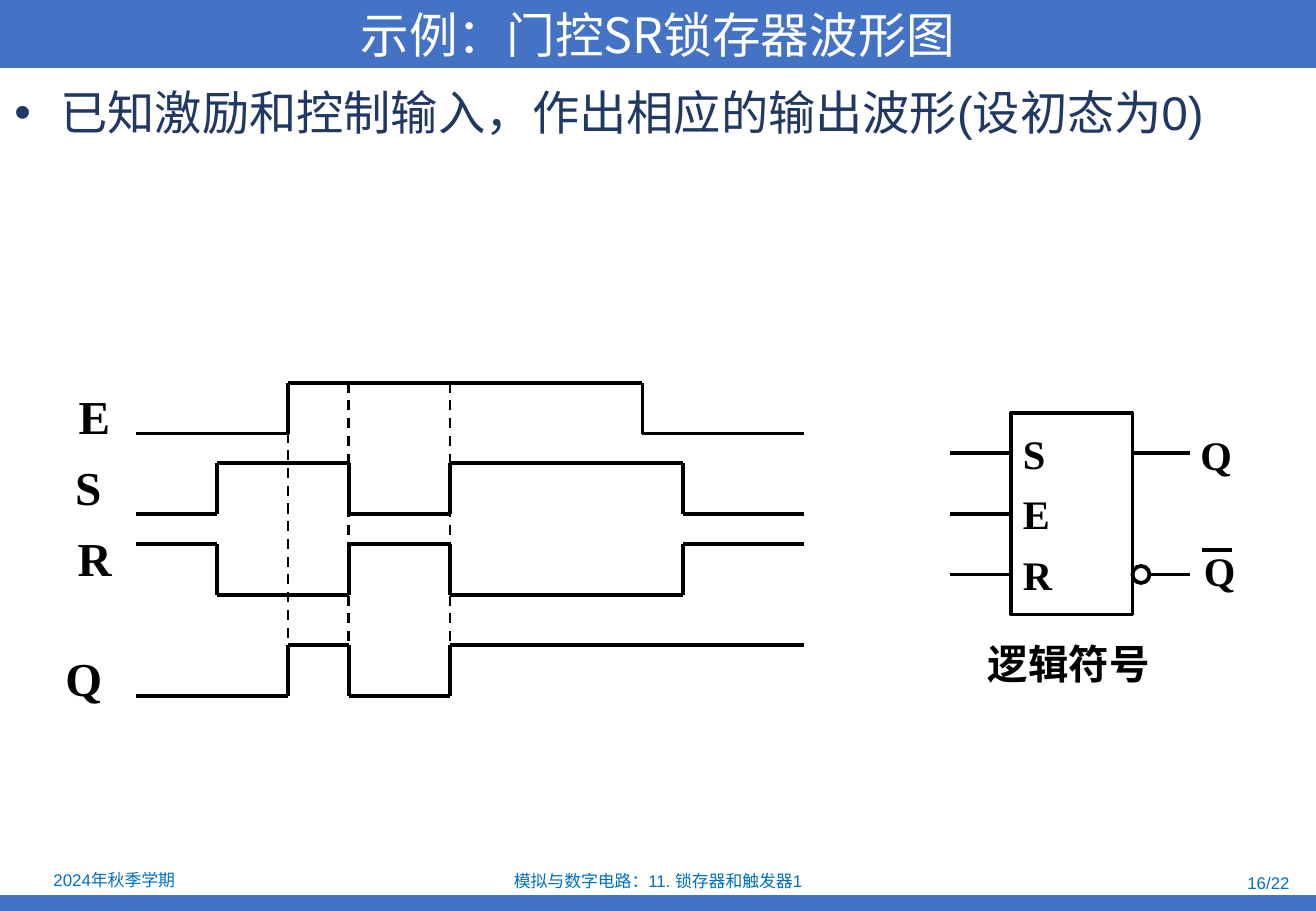
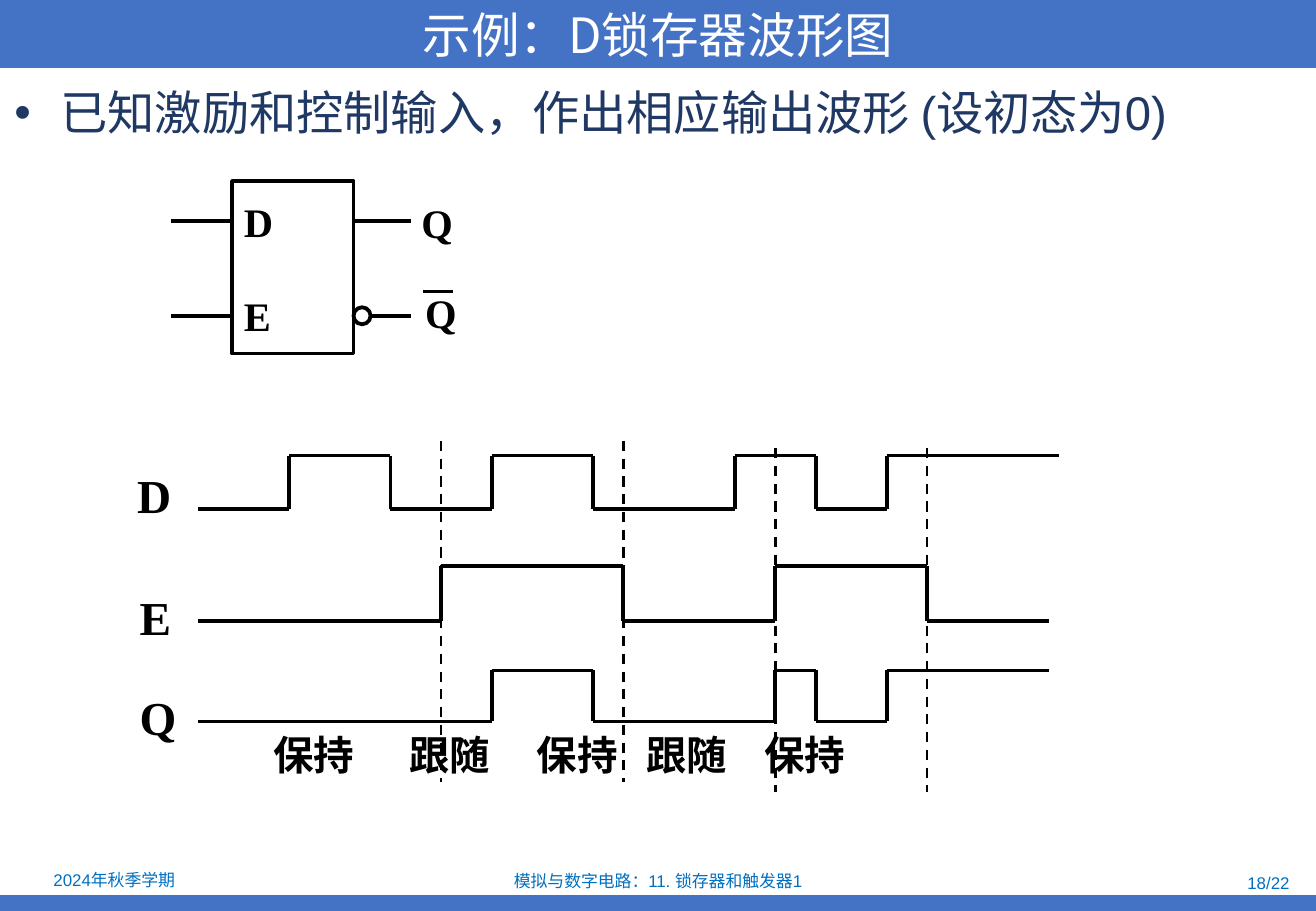
from lxml import etree
from pptx import Presentation
from pptx.dml.color import RGBColor
from pptx.enum.dml import MSO_LINE
from pptx.enum.shapes import MSO_CONNECTOR, MSO_SHAPE
from pptx.enum.text import MSO_ANCHOR, PP_ALIGN
from pptx.oxml.ns import qn
from pptx.util import Inches, Pt

RECTANGLE, OVAL = MSO_SHAPE.RECTANGLE, MSO_SHAPE.OVAL
STRAIGHT, DASH = MSO_CONNECTOR.STRAIGHT, MSO_LINE.DASH
MIDDLE, TOP = MSO_ANCHOR.MIDDLE, MSO_ANCHOR.TOP
LEFT, CENTER, RIGHT = PP_ALIGN.LEFT, PP_ALIGN.CENTER, PP_ALIGN.RIGHT

WIDTH, HEIGHT = 10.83, 7.5
TICK = 1 / 12
BAND, FOOTER, NAVY, BLACK, WHITE = "4472C4", "0070C0", "203864", "000000", "FFFFFF"
SANS, CHINESE, SERIF = "Arial", "Noto Sans CJK SC", "Times New Roman"
LEFT_SITE = 1
SYMBOL_WIDTH = 1
BUBBLE = 0.14


def color(value):
    return RGBColor.from_string(value)


def write(shape, text, size, font, fill, bold=False, align=LEFT, anchor=TOP):
    frame = shape.text_frame
    frame.word_wrap = True
    frame.vertical_anchor = anchor
    frame.text = text
    paragraph = frame.paragraphs[0]
    paragraph.alignment = align
    for run in paragraph.runs:
        run.font.size = Pt(size)
        run.font.bold = bold
        run.font.color.rgb = color(fill)
        run.font.name = font
        etree.SubElement(run.font._element, qn("a:ea"), typeface=CHINESE)
    return paragraph


def add_text(slide, left, top, width, height, text, size, font, fill, **style):
    box = slide.shapes.add_textbox(*map(Inches, (left, top, width, height)))
    return write(box, text, size, font, fill, **style)


def add_letter(slide, left, top, text, size):
    add_text(slide, left, top, 0.6, 0.5, text, size, SERIF, BLACK, bold=True)


def add_preset(slide, preset, left, top, width, height, fill=None, outline=None):
    shape = slide.shapes.add_shape(preset, *map(Inches, (left, top, width, height)))
    shape.shadow.inherit = False
    if fill:
        shape.fill.solid()
        shape.fill.fore_color.rgb = color(fill)
    else:
        shape.fill.background()
    if outline:
        shape.line.color.rgb = color(outline)
        shape.line.width = Pt(2.25)
    else:
        shape.line.fill.background()
    return shape


def add_line(slide, left, top, right, bottom, dashed=False):
    line = slide.shapes.add_connector(STRAIGHT, *map(Inches, (left, top, right, bottom)))
    line.line.color.rgb = color(BLACK)
    line.line.width = Pt(1.5 if dashed else 2.25)
    if dashed:
        line.line.dash_style = DASH
    etree.SubElement(line._element.spPr, qn("a:effectLst"))
    return line


def add_frame(presentation, title, statement, number):
    slide = presentation.slides.add_slide(presentation.slide_layouts[6])
    add_preset(slide, RECTANGLE, 0, 7.37, WIDTH, 0.13, fill=BAND)
    banner = add_preset(slide, RECTANGLE, 0, 0, WIDTH, 0.56, fill=BAND)
    write(banner, title, 28.8, CHINESE, WHITE, align=CENTER, anchor=MIDDLE)
    paragraph = add_text(slide, 0.02, 0.64, 10.81, 6.5, statement, 28, SANS, NAVY)
    properties = paragraph._p.get_or_add_pPr()
    properties.set("marL", str(Inches(0.38)))
    properties.set("indent", str(Inches(-0.38)))
    etree.SubElement(properties, qn("a:buFont"), typeface=SANS)
    etree.SubElement(properties, qn("a:buChar"), char="•")
    for left, top, width, text, align in (
        (0.02, 7.13, 1.84, "2024年秋季学期", CENTER),
        (3.7, 7.14, 3.43, "模拟与数字电路：11. 锁存器和触发器1", CENTER),
        (8.18, 7.16, 2.53, f"{number}/22", RIGHT),
    ):
        add_text(slide, left, top, width, 0.22, text, 10, SANS, FOOTER,
                 align=align, anchor=MIDDLE)
    return slide


def add_wave(slide, origin, high, low, edges, end, starts_high=False):
    level, other = (high, low) if starts_high else (low, high)
    start = origin
    for edge in edges:
        left = origin + edge * TICK
        add_line(slide, start, level, left, level)
        add_line(slide, left, level, left, other)
        start, level, other = left, other, level
    add_line(slide, start, level, origin + end * TICK, level)


def add_guides(slide, origin, guides):
    for tick, top, bottom in guides:
        left = origin + tick * TICK
        add_line(slide, left, top, left, bottom, dashed=True)


def add_symbol(slide, left, top, height, inputs):
    body = add_preset(slide, RECTANGLE, left, top, SYMBOL_WIDTH, height, outline=BLACK)
    for name, offset in inputs:
        row = top + offset
        pin = add_line(slide, left, row, left - 0.5, row)
        if abs(offset - height / 2) < 0.01:
            pin.begin_connect(body, LEFT_SITE)
        add_letter(slide, left, row - 0.25, name, 24)
    right = left + SYMBOL_WIDTH
    direct, inverted = (top + inputs[index][1] for index in (0, -1))
    add_line(slide, right, direct, right + 0.47, direct)
    add_letter(slide, right + 0.46, direct - 0.24, "Q", 24)
    add_preset(slide, OVAL, right, inverted - BUBBLE / 2, BUBBLE, BUBBLE, WHITE, BLACK)
    add_line(slide, right + BUBBLE, inverted, right + 0.47, inverted)
    add_letter(slide, right + 0.49, inverted - 0.28, "Q", 24)
    add_line(slide, right + 0.57, inverted - 0.2, right + 0.82, inverted - 0.2)


def add_phases(slide, left, top, phases, stops):
    paragraph = add_text(slide, left, top, 6.53, 0.5, "\t".join(phases), 24,
                         CHINESE, BLACK, bold=True)
    tabs = etree.SubElement(paragraph._p.get_or_add_pPr(), qn("a:tabLst"))
    for stop in stops:
        etree.SubElement(tabs, qn("a:tab"), pos=str(Inches(stop)), algn="l")


def build_sr_latch(presentation):
    slide = add_frame(presentation, "示例：门控SR锁存器波形图",
                      "已知激励和控制输入，作出相应的输出波形(设初态为0)", 16)
    origin = 1.12
    add_guides(slide, origin, ((15, 3.56, 5.73), (21, 3.15, 5.73), (31, 3.15, 5.73)))
    for name, left, top, high, edges, starts_high in (
        ("E", 0.55, 3.14, 3.15, (15, 50), False),
        ("S", 0.52, 3.72, 3.81, (8, 21, 31, 54), False),
        ("R", 0.54, 4.31, 4.48, (8, 21, 31, 54), True),
        ("Q", 0.44, 5.3, 5.31, (15, 21, 31), False),
    ):
        add_letter(slide, left, top, name, 28)
        add_wave(slide, origin, high, high + 0.42, edges, 66, starts_high)
    add_symbol(slide, 8.32, 3.4, 1.66, (("S", 0.33), ("E", 0.83), ("R", 1.33)))
    add_text(slide, 8.03, 5.21, 2.04, 0.5, "逻辑符号", 24, SANS, BLACK, bold=True)


def build_d_latch(presentation):
    slide = add_frame(presentation, "示例：D锁存器波形图",
                      "已知激励和控制输入，作出相应输出波形 (设初态为0)", 18)
    origin = 1.63
    for name, left, top, high, low, edges, end in (
        ("D", 1.03, 3.79, 3.75, 4.19, (9, 19, 29, 39, 53, 61, 68), 85),
        ("E", 1.05, 4.79, 4.66, 5.11, (24, 42, 57, 72), 84),
        ("Q", 1.05, 5.62, 5.52, 5.94, (29, 39, 57, 61, 68), 84),
    ):
        add_letter(slide, left, top, name, 28)
        add_wave(slide, origin, high, low, edges, end)
    add_guides(slide, origin, ((24, 3.63, 6.44), (42, 3.63, 6.44),
                               (57, 3.69, 6.52), (72, 3.69, 6.52)))
    add_phases(slide, 2.15, 5.96, ("保持", "跟随", "保持", "跟随", "保持"),
               (1.12, 2.17, 3.07, 4.04))
    add_symbol(slide, 1.91, 1.49, 1.42, (("D", 0.33), ("E", 1.11)))


def main():
    presentation = Presentation()
    presentation.slide_width = Inches(WIDTH)
    presentation.slide_height = Inches(HEIGHT)
    build_sr_latch(presentation)
    build_d_latch(presentation)
    presentation.save("out.pptx")


if __name__ == "__main__":
    main()
